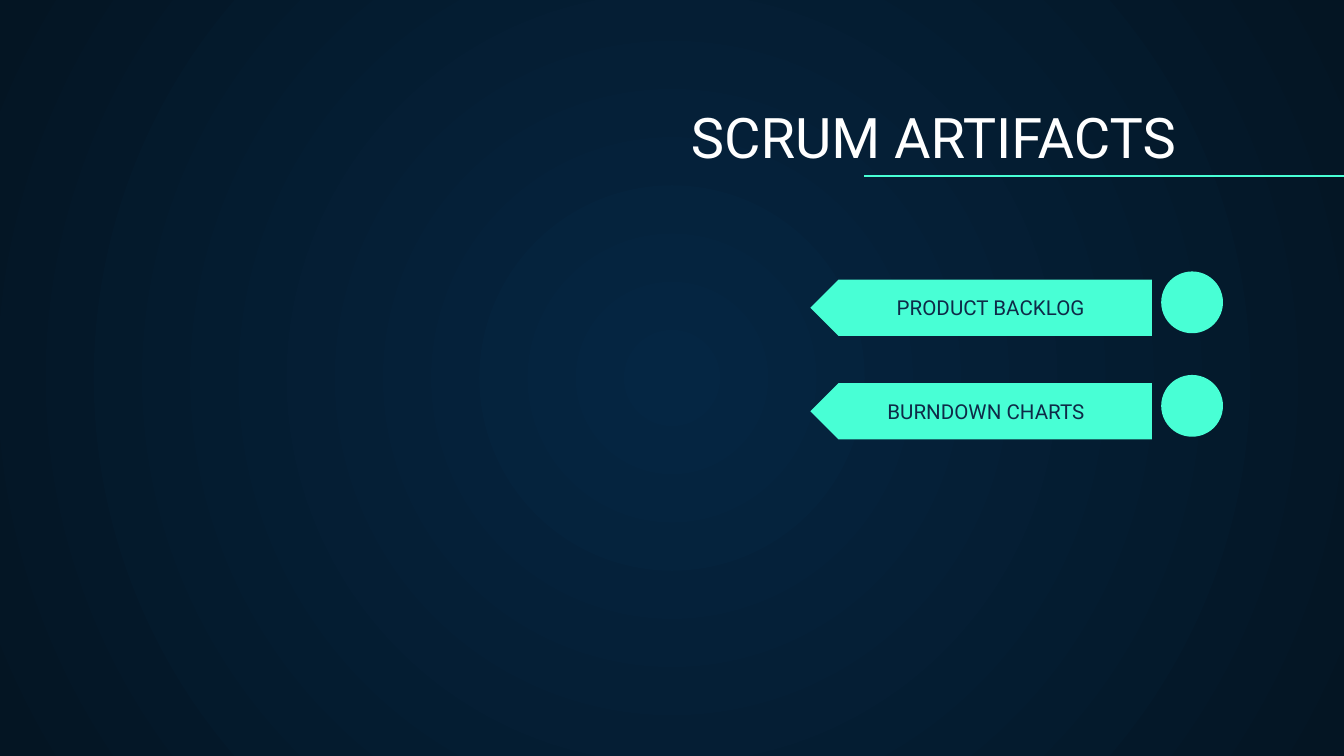
from dataclasses import dataclass

from lxml import etree
from pptx import Presentation
from pptx.dml.color import RGBColor
from pptx.enum.shapes import MSO_CONNECTOR, MSO_SHAPE
from pptx.enum.text import MSO_ANCHOR, MSO_AUTO_SIZE, PP_ALIGN
from pptx.oxml.ns import qn
from pptx.util import Inches, Pt

STRAIGHT = MSO_CONNECTOR.STRAIGHT
PENTAGON = MSO_SHAPE.PENTAGON
OVAL = MSO_SHAPE.OVAL
BOTTOM = MSO_ANCHOR.BOTTOM
RIGHT = PP_ALIGN.RIGHT
NO_AUTOFIT = MSO_AUTO_SIZE.NONE


@dataclass(frozen=True)
class Theme:
    """Colours, font and type sizes of the slide."""
    glow: str = "052643"
    edge: str = "041523"
    accent: str = "48FFD5"
    light: str = "FFFFFF"
    dark: str = "0E2A47"
    font: str = "Roboto"
    title_size: int = 30
    label_size: int = 11


THEME = Theme()
SLIDE_WIDTH = 10
SLIDE_HEIGHT = SLIDE_WIDTH * 9 / 16
ARTIFACTS = ("PRODUCT BACKLOG", "BURNDOWN CHARTS")
ARTIFACT_LEFT, ARTIFACT_TOP, ARTIFACT_STEP = 5.9, 2.02, 0.77


def paint_background(page):
    """Fill the page with a circular gradient that glows at the centre."""
    fill = page.background.fill
    fill.gradient()
    for stop, colour, position in zip(fill.gradient_stops, (THEME.glow, THEME.edge), (0, 1)):
        stop.color.rgb = RGBColor.from_string(colour)
        stop.position = position
    gradient = page.element.find(".//" + qn("a:gradFill"))
    gradient.remove(gradient.find(qn("a:lin")))
    circle = etree.SubElement(gradient, qn("a:path"), path="circle")
    etree.SubElement(circle, qn("a:fillToRect"), l="50000", t="50000", r="50000", b="50000")


def add_text(page, text, left, top, width, height, size, colour):
    """Add right-aligned text resting on the bottom of its box."""
    box = page.shapes.add_textbox(Inches(left), Inches(top), Inches(width), Inches(height))
    frame = box.text_frame
    frame.word_wrap = True
    frame.auto_size = NO_AUTOFIT
    frame.vertical_anchor = BOTTOM
    frame.margin_left = frame.margin_right = Inches(0.1)
    frame.margin_top = frame.margin_bottom = Inches(0.1)
    frame.text = text
    para = frame.paragraphs[0]
    para.alignment = RIGHT
    font = para.runs[0].font
    font.name = THEME.font
    font.size = Pt(size)
    font.color.rgb = RGBColor.from_string(colour)


def add_accent_shape(page, kind, left, top, width, height):
    """Add a flat accent-coloured shape without outline."""
    shape = page.shapes.add_shape(kind, Inches(left), Inches(top), Inches(width), Inches(height))
    shape.shadow.inherit = False
    shape.fill.solid()
    shape.fill.fore_color.rgb = RGBColor.from_string(THEME.accent)
    shape.line.fill.background()
    return shape


def add_title(page, left, top, width, height):
    """Add the slide title and the rule running past the right edge."""
    add_text(page, "SCRUM ARTIFACTS", left, top, width, height, THEME.title_size, THEME.light)
    rule_top = Inches(top + 0.61)
    rule = page.shapes.add_connector(
        STRAIGHT, Inches(left + 6.15), rule_top, Inches(left + 9.81), rule_top)
    rule.line.color.rgb = RGBColor.from_string(THEME.accent)
    rule.line.width = Pt(0.75)
    etree.SubElement(rule.element.spPr, qn("a:effectLst"))


def add_artifact(page, label, left, top):
    """Add one left-pointing banner with its label and disc."""
    banner = add_accent_shape(page, PENTAGON, left + 0.13, top + 0.06, 2.54, 0.42)
    banner.rotation = 180
    add_accent_shape(page, OVAL, left + 2.74, top, 0.46, 0.46)
    add_text(page, label, left, top + 0.25, 2.27, 0.21, THEME.label_size, THEME.dark)


def main():
    """Build the deck and save it."""
    deck = Presentation()
    deck.slide_width = Inches(SLIDE_WIDTH)
    deck.slide_height = Inches(SLIDE_HEIGHT)
    page = deck.slides.add_slide(deck.slide_layouts[6])
    paint_background(page)
    add_title(page, 0.28, 0.7, 8.57, 0.66)
    for index, label in enumerate(ARTIFACTS):
        add_artifact(page, label, ARTIFACT_LEFT, ARTIFACT_TOP + index * ARTIFACT_STEP)
    deck.save("out.pptx")


if __name__ == "__main__":
    main()
